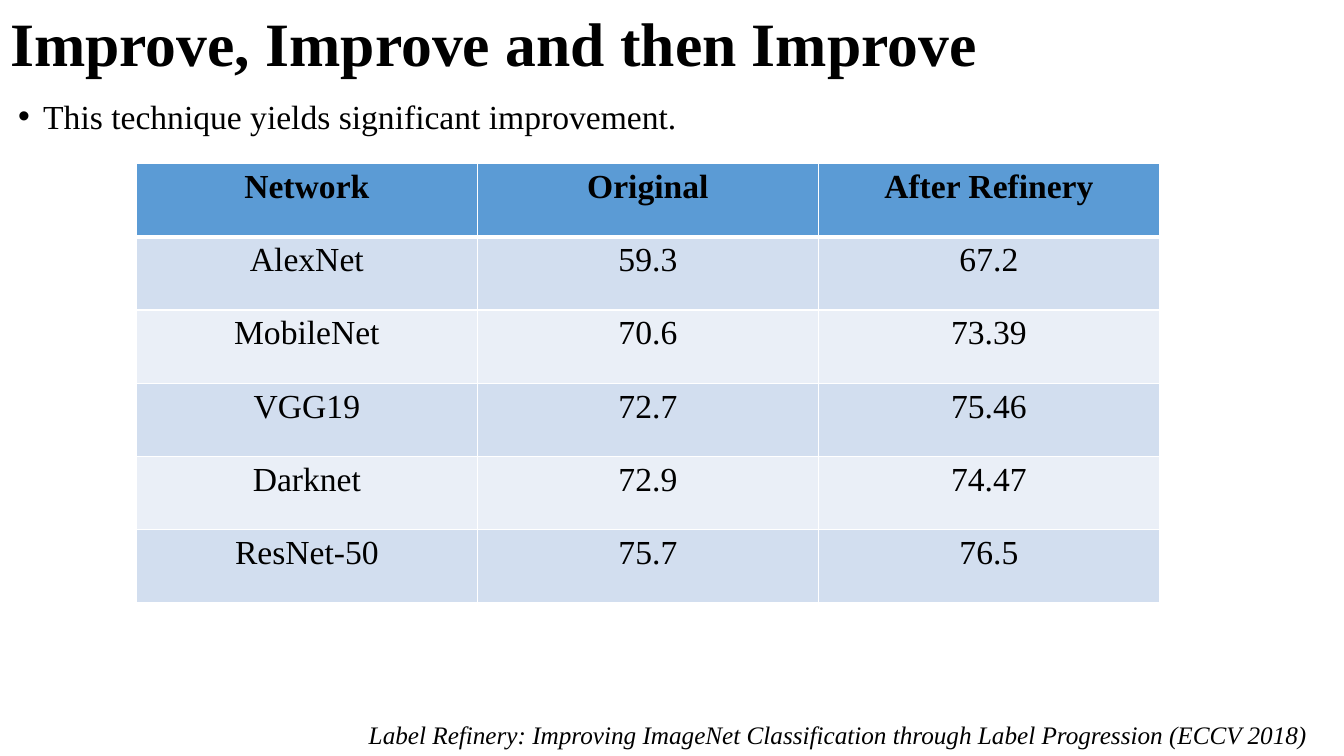
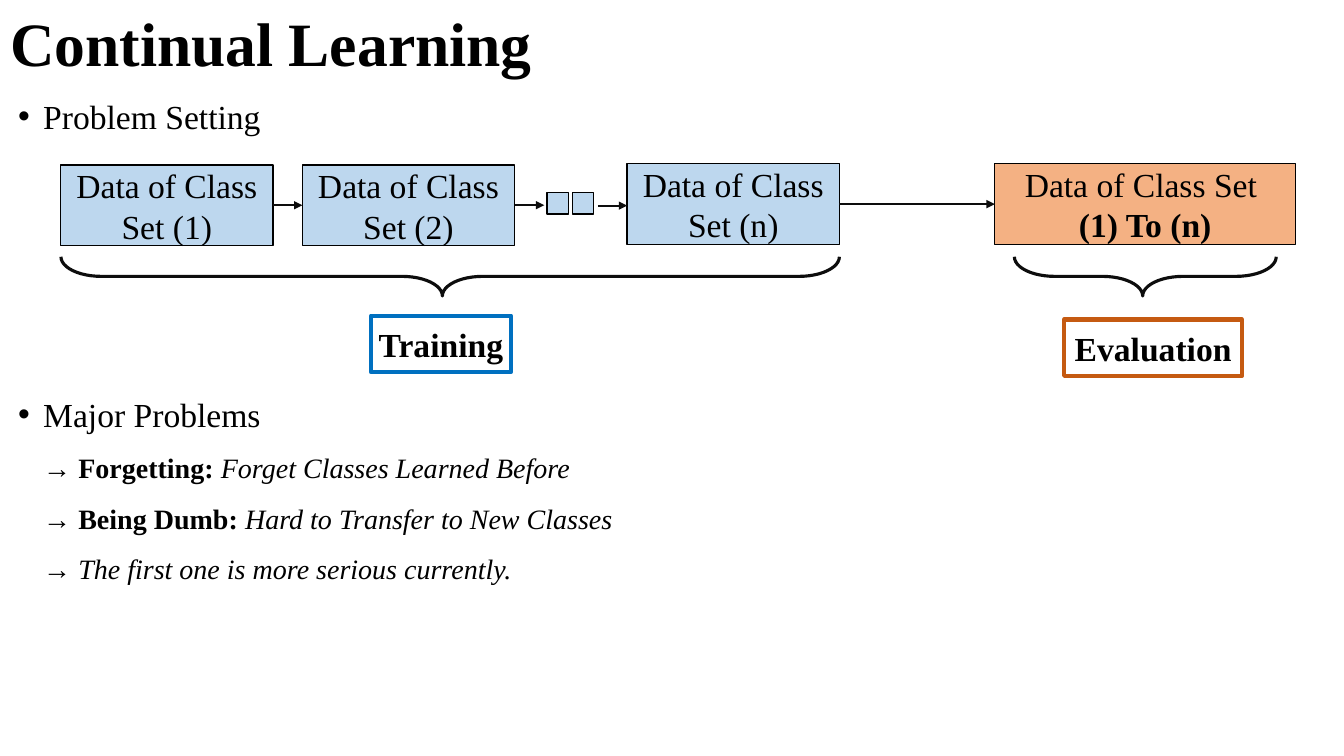
from lxml.etree import SubElement
from pptx import Presentation
from pptx.dml.color import RGBColor
from pptx.enum.shapes import MSO_CONNECTOR as Connector, MSO_SHAPE as Shape
from pptx.enum.text import MSO_ANCHOR as Anchor, PP_ALIGN as Align
from pptx.oxml import parse_xml
from pptx.oxml.ns import nsdecls, qn
from pptx.util import Pt

# Shared look
FONT = "Times New Roman"
BLACK, WHITE, INK = "000000", "FFFFFF", "0D0D0D"
HEADER_BLUE, BAND_DARK, BAND_LIGHT = "5B9BD5", "D2DEEF", "EAEFF7"
TRAIN_FILL, EVAL_FILL = "BDD7EE", "F4B183"
TRAIN_EDGE, EVAL_EDGE = "0070C0", "C55A11"
BODY_SIZE, SUB_SIZE, SOURCE_SIZE, TITLE_SIZE = 24, 20, 18, 44
BODY_LEFT, BODY_TOP, BODY_WIDTH = 5.8, 50.4, 950
BULLET_INDENT = 18


def color(hex_value):
    return RGBColor.from_string(hex_value)


def points(*values):
    return [Pt(value) for value in values]


# Text
def add_runs(paragraph, runs, size=BODY_SIZE):
    """Each run is (text, style), where style holds "b" and/or "i"."""
    for text, style in runs:
        run = paragraph.add_run()
        run.text = text
        font = run.font
        font.name, font.size = FONT, Pt(size)
        font.bold, font.italic = "b" in style, "i" in style
        font.color.rgb = color(BLACK)


def add_title(slide, text):
    title = slide.shapes.title
    title.left, title.top, title.width, title.height = points(0, 0, 828, 66)
    title.text_frame.vertical_anchor = Anchor.MIDDLE
    paragraph = title.text_frame.paragraphs[0]
    paragraph.alignment, paragraph.line_spacing = Align.LEFT, 0.9
    add_runs(paragraph, [(text, "b")], TITLE_SIZE)


def add_text_frame(slide, left, top, width, height):
    frame = slide.shapes.add_textbox(*points(left, top, width, height)).text_frame
    frame.word_wrap = True
    return frame


def add_topic(slide, top, heading, details=()):
    """A bulleted heading, followed by indented detail lines."""
    frame = add_text_frame(slide, BODY_LEFT, top, BODY_WIDTH,
                           52 + 36 * len(details))
    lines = [([(heading, "")], BODY_SIZE)] + [(runs, SUB_SIZE) for runs in details]
    for index, (runs, size) in enumerate(lines):
        paragraph = frame.add_paragraph() if index else frame.paragraphs[0]
        paragraph.line_spacing = 1.5
        paragraph.space_before = Pt(0 if index else 10)
        properties = paragraph._p.get_or_add_pPr()
        properties.set("marL", str(Pt(BULLET_INDENT)))
        if index == 0:
            properties.set("indent", str(-Pt(BULLET_INDENT)))
            SubElement(properties, qn("a:buFont")).set("typeface", "Arial")
            SubElement(properties, qn("a:buChar")).set("char", "•")
        add_runs(paragraph, runs, size)


def add_source(slide, text):
    frame = add_text_frame(slide, 256.3, 499.7, 703.7, 40.3)
    frame.paragraphs[0].line_spacing = 1.5
    add_runs(frame.paragraphs[0], [(text, "i")], SOURCE_SIZE)


# Table
def set_cell_borders(cell, widths):
    properties = cell._tc.get_or_add_tcPr()
    for index, (side, width) in enumerate(widths.items()):
        properties.insert(index, parse_xml(
            f'<a:ln{side} {nsdecls("a")} w="{Pt(width)}"><a:solidFill>'
            f'<a:srgbClr val="{WHITE}"/></a:solidFill></a:ln{side}>'))


def add_results(slide, rows, left, top, column_width, row_height):
    column_count = len(rows[0])
    table = slide.shapes.add_table(
        len(rows), column_count,
        *points(left, top, column_width * column_count,
                row_height * len(rows))).table
    for column in table.columns:
        column.width = Pt(column_width)
    for r, values in enumerate(rows):
        table.rows[r].height = Pt(row_height)
        fill = HEADER_BLUE if r == 0 else BAND_DARK if r % 2 else BAND_LIGHT
        borders = {"L": 1, "R": 1, "T": 3 if r == 1 else 1, "B": 3 if r == 0 else 1}
        for c, value in enumerate(values):
            cell = table.cell(r, c)
            cell.fill.solid()
            cell.fill.fore_color.rgb = color(fill)
            set_cell_borders(cell, borders)
            paragraph = cell.text_frame.paragraphs[0]
            paragraph.alignment = Align.CENTER
            add_runs(paragraph, [(value, "" if r else "b")])


# Diagram
def add_outline(slide, kind, box, edge, weight, fill=None):
    shape = slide.shapes.add_shape(kind, *points(*box))
    shape.shadow.inherit = False
    if fill:
        shape.fill.solid()
        shape.fill.fore_color.rgb = color(fill)
    else:
        shape.fill.background()
    shape.line.color.rgb = color(edge)
    shape.line.width = Pt(weight)
    return shape


def add_box(slide, box, lines=(), fill=None, edge=BLACK, weight=1, wrap=True):
    frame = add_outline(slide, Shape.RECTANGLE, box, edge, weight, fill).text_frame
    frame.word_wrap = wrap
    frame.vertical_anchor = Anchor.MIDDLE
    for index, line in enumerate(lines):
        paragraph = frame.add_paragraph() if index else frame.paragraphs[0]
        paragraph.alignment = Align.CENTER
        add_runs(paragraph, [line])


def add_arrow(slide, start, end, y):
    arrow = slide.shapes.add_connector(Connector.STRAIGHT, *points(start, y, end, y))
    arrow.line.color.rgb = color(INK)
    arrow.line.width = Pt(1.5)
    SubElement(arrow.line._get_or_add_ln(), qn("a:tailEnd")).set("type", "triangle")
    SubElement(arrow._element.spPr, qn("a:effectLst"))


def add_brace_below(slide, left, top, width, depth=28):
    """A left brace turned so that its tip points down."""
    box = (left + (width - depth) / 2, top + (depth - width) / 2, depth, width)
    brace = add_outline(slide, Shape.LEFT_BRACE, box, INK, 2.25)
    brace.adjustments[0], brace.adjustments[1] = 1.03, 0.49
    brace.rotation = 270


# Slides
def build_results_slide(slide):
    add_title(slide, "Improve, Improve and then Improve")
    add_topic(slide, BODY_TOP, "This technique yields significant improvement.")
    add_source(slide, "Label Refinery: Improving ImageNet Classification "
                      "through Label Progression (ECCV 2018)")
    add_results(slide, [
        ("Network", "Original", "After Refinery"),
        ("AlexNet", "59.3", "67.2"),
        ("MobileNet", "70.6", "73.39"),
        ("VGG19", "72.7", "75.46"),
        ("Darknet", "72.9", "74.47"),
        ("ResNet-50", "75.7", "76.5"),
    ], left=97.4, top=116.8, column_width=243.6, row_height=52.3)


def build_continual_slide(slide):
    add_title(slide, "Continual Learning")
    add_topic(slide, BODY_TOP, "Problem Setting")
    add_topic(slide, 263.3, "Major Problems", [
        [("→ ", ""), ("Forgetting:", "b"), (" Forget Classes Learned Before", "i")],
        [("→ ", ""), ("Being Dumb: ", "b"), ("Hard to Transfer to New Classes", "i")],
        [("→ ", ""), ("The first one is more serious currently.", "i")],
    ])

    # Class sets in order of training, then evaluation on all of them
    set_width, set_height = 151.6, 57.6
    for number, left, top in (("1", 43.4, 118), ("2", 216, 118), ("n", 448, 117)):
        add_box(slide, (left, top, set_width, set_height),
                [(f"Data of Class Set ({number})", "")], TRAIN_FILL)
    for left in (390.8, 408.8):
        add_box(slide, (left, 137.5, 15.2, 15.5), fill=TRAIN_FILL)
    add_box(slide, (710.6, 117, 214.8, set_height),
            [("Data of Class Set ", ""), ("(1) To (n)", "b")], EVAL_FILL)
    for start, end, y in ((195, 216, 146.6), (367.6, 388.8, 146.6),
                          (427, 448, 146.9), (599.6, 710.6, 145.8)):
        add_arrow(slide, start, end, y)

    # Phases
    add_brace_below(slide, 43.6, 183.4, 556)
    add_brace_below(slide, 724.6, 183.4, 187)
    add_box(slide, (265, 225.5, 100, 40.3), [("Training", "b")],
            edge=TRAIN_EDGE, weight=3, wrap=False)
    add_box(slide, (760.2, 228.2, 127, 40.3), [("Evaluation", "b")],
            edge=EVAL_EDGE, weight=3, wrap=False)


def main():
    deck = Presentation()
    deck.slide_width, deck.slide_height = points(960, 540)
    title_only = deck.slide_layouts[5]
    for build in (build_results_slide, build_continual_slide):
        build(deck.slides.add_slide(title_only))
    deck.save("out.pptx")


if __name__ == "__main__":
    main()
